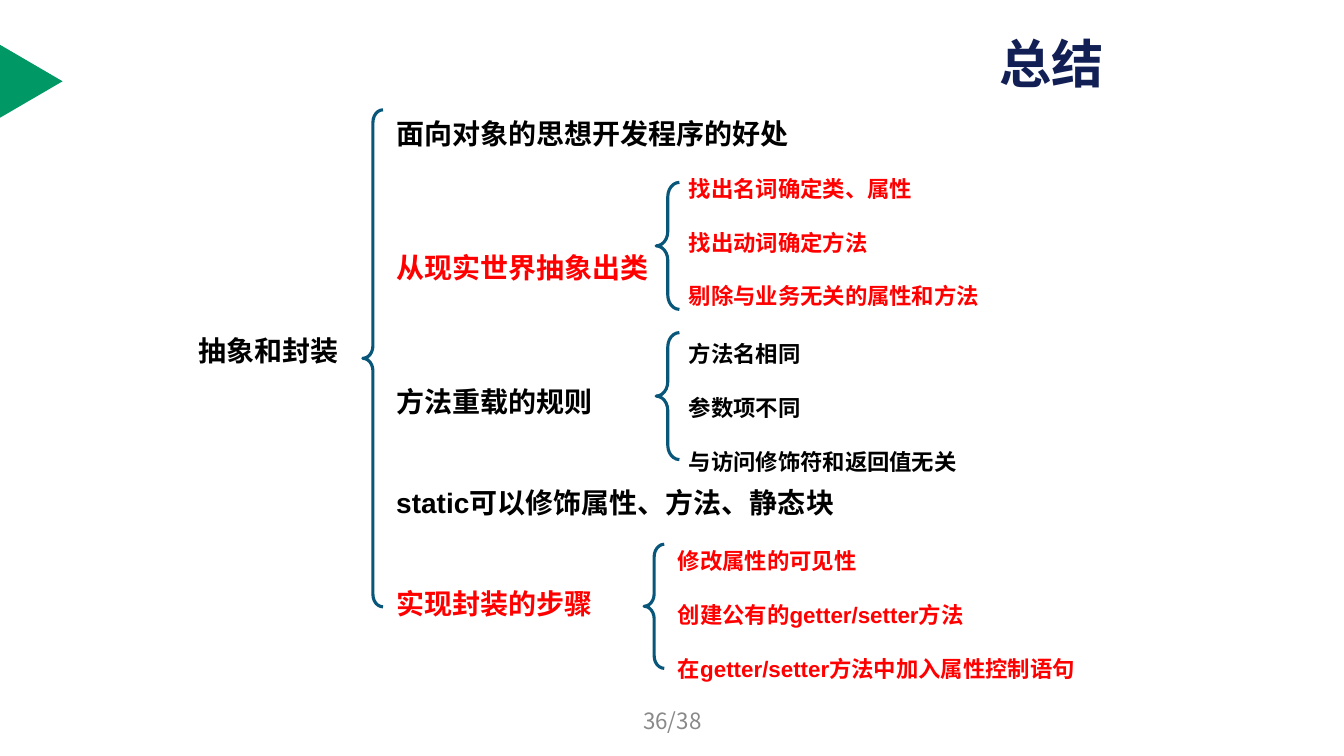
from pptx import Presentation
from pptx.dml.color import RGBColor
from pptx.enum.shapes import MSO_SHAPE as Shape
from pptx.enum.text import MSO_ANCHOR as Anchor, PP_ALIGN as Align
from pptx.oxml.ns import qn
from pptx.util import Pt
from lxml import etree

GREEN = RGBColor(0x00, 0x99, 0x66)
NAVY = RGBColor(0x12, 0x1F, 0x55)
TEAL = RGBColor(0x08, 0x57, 0x7A)
RED = RGBColor(0xFF, 0x00, 0x00)
BLACK = RGBColor(0x00, 0x00, 0x00)
GRAY = RGBColor(0x89, 0x89, 0x89)
CJK_FONT = "Noto Sans CJK SC"

deck = Presentation()
deck.slide_width, deck.slide_height = Pt(960), Pt(540)
page = deck.slides.add_slide(deck.slide_layouts[6])


def add_text(lines, left, top, width, height, size=16, font="Arial", bold=True,
             align=Align.LEFT, anchor=Anchor.TOP, line_height=None):
    """Write lines given as (text, colour, space before)."""
    box = page.shapes.add_textbox(Pt(left), Pt(top), Pt(width), Pt(height))
    frame = box.text_frame
    frame.word_wrap = True
    frame.vertical_anchor = anchor
    frame.margin_left = frame.margin_right = 0
    frame.margin_top = frame.margin_bottom = 0
    for index, (text, color, gap) in enumerate(lines):
        para = frame.add_paragraph() if index else frame.paragraphs[0]
        para.alignment = align
        para.space_before = Pt(gap)
        if line_height:
            para.line_spacing = Pt(line_height)
        span = para.add_run()
        span.text = text
        span.font.name = font
        span.font.size = Pt(size)
        span.font.bold = bold
        span.font.color.rgb = color
        east_asian = etree.SubElement(span.font._element, qn("a:ea"))
        east_asian.set("typeface", CJK_FONT)


# Green marker on the left edge
marker = page.shapes.add_shape(Shape.ISOSCELES_TRIANGLE,
                               Pt(-3.6), Pt(35.8), Pt(52), Pt(44.6))
marker.rotation = 90
marker.shadow.inherit = False
marker.fill.solid()
marker.fill.fore_color.rgb = GREEN
marker.line.fill.background()

# Title and page number
add_text([("总结", NAVY, 0)], 714, 21.6, 86, 46, size=37.3, font=CJK_FONT,
         anchor=Anchor.MIDDLE)
add_text([("36/38", GRAY, 0)], 328.3, 500.4, 303.8, 28.8, font=CJK_FONT,
         bold=False, align=Align.CENTER, anchor=Anchor.MIDDLE)

# Root topic and its branches
add_text([("抽象和封装", BLACK, 0)], 120.2, 234, 143.3, 28, size=20,
         align=Align.CENTER, line_height=28)
branches = [
    ("面向对象的思想开发程序的好处", BLACK, 0),
    ("从现实世界抽象出类", RED, 67.7),
    ("方法重载的规则", BLACK, 67.7),
    ("static可以修饰属性、方法、静态块", BLACK, 44.2),
    ("实现封装的步骤", RED, 44.2),
]
add_text(branches, 283, 79.2, 337, 364, size=20, line_height=28)

# Details of three branches
details = [
    (492, 122.4, RED,
     ["找出名词确定类、属性", "找出动词确定方法", "剔除与业务无关的属性和方法"]),
    (492, 240.4, BLACK,
     ["方法名相同", "参数项不同", "与访问修饰符和返回值无关"]),
    (484.2, 388.2, RED,
     ["修改属性的可见性", "创建公有的getter/setter方法",
      "在getter/setter方法中加入属性控制语句"]),
]
for left, top, color, items in details:
    lines = [(item, color, 16.3 if index else 0)
             for index, item in enumerate(items)]
    add_text(lines, left, top, 320, 99, line_height=22)

# Braces: left, top, width, height
braces = [
    (259.2, 78.5, 14.4, 355),
    (468.7, 130.3, 16.6, 90.7),
    (468.7, 237.6, 16.6, 90.7),
    (460.1, 388.8, 14.4, 88.6),
]
for bounds in braces:
    brace = page.shapes.add_shape(Shape.LEFT_BRACE, *map(Pt, bounds))
    brace.adjustments[0] = 0.62
    brace.shadow.inherit = False
    brace.fill.background()
    brace.line.color.rgb = TEAL
    brace.line.width = Pt(2.25)

deck.save("out.pptx")
